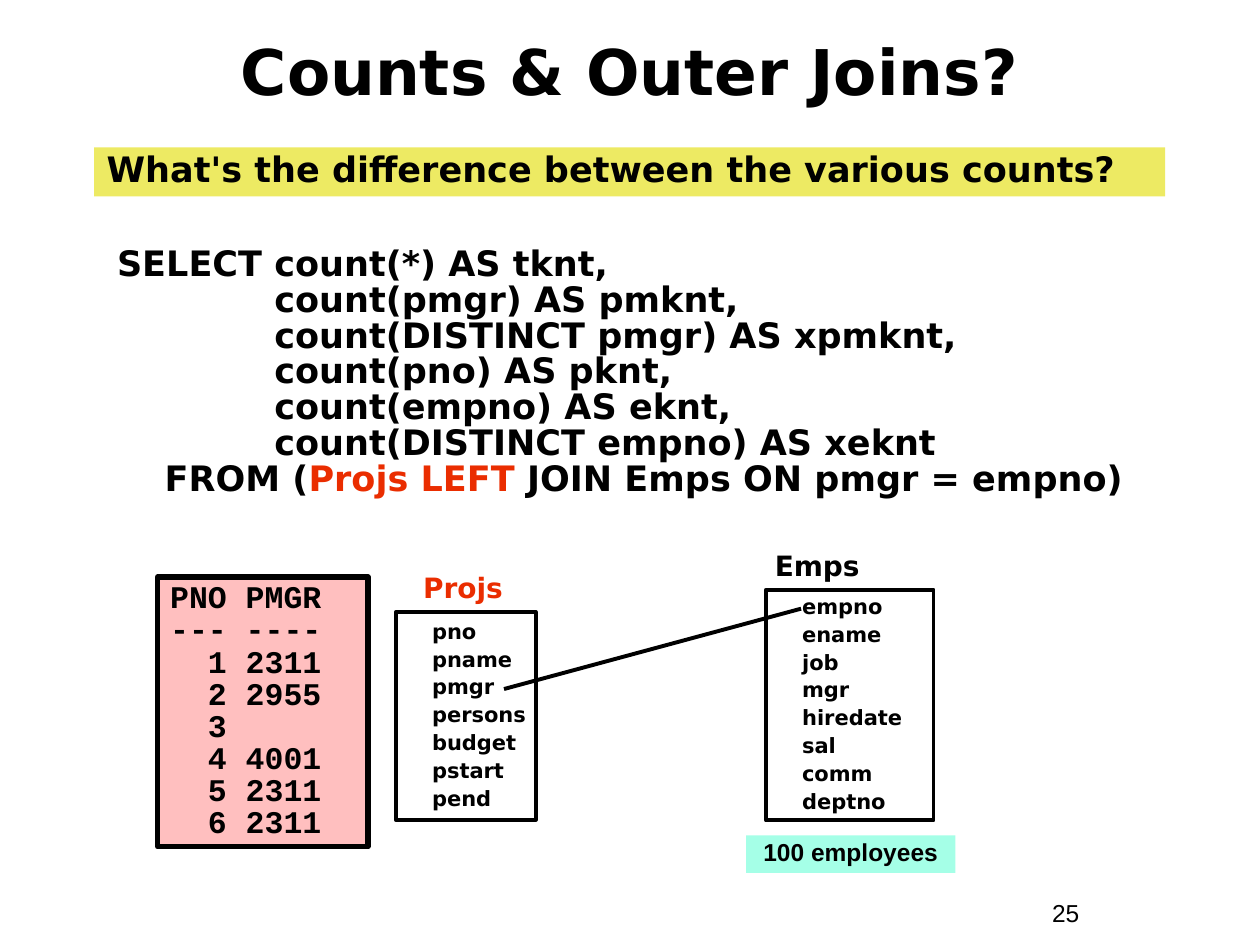
"""Build a slide about counts over an outer join of two tables."""
import pptx
import pptx.dml.color
import pptx.enum.shapes
import pptx.enum.text
import pptx.oxml.ns
import pptx.util
import lxml.etree

Cm, Pt = pptx.util.Cm, pptx.util.Pt
RGB = pptx.dml.color.RGBColor.from_string
ALIGN = pptx.enum.text.PP_ALIGN
ANCHOR = pptx.enum.text.MSO_ANCHOR
SHAPES = pptx.enum.shapes

COLORS = {"black": "000000", "red": "EA2D00", "yellow": "EDEA63",
          "pink": "FFBFBF", "mint": "A5FFE7"}
SANS, MONO, ARIAL = "DejaVu Sans", "Courier New", "Arial"


def add_run(p, text, color, font):
    r = p.add_run()
    r.text = text
    for name, value in font.items():
        setattr(r.font, name, value)
    r.font.color.rgb = RGB(COLORS[color])


def add_box(at, lines, font, color="black", fill=None, border=None,
            frame=None, para=None, gap=0, indent=None):
    at = [Cm(v) for v in at]
    if fill or border:
        sp = s.shapes.add_shape(SHAPES.MSO_SHAPE.RECTANGLE, *at)
        sp.shadow.inherit = False
        sp.fill.background()
        sp.line.fill.background()
    else:
        sp = s.shapes.add_textbox(*at)
    if fill:
        sp.fill.solid()
        sp.fill.fore_color.rgb = RGB(COLORS[fill])
    if border:
        sp.line.color.rgb = RGB(COLORS["black"])
        sp.line.width = Pt(border)
    tf = sp.text_frame
    frame_format = {"word_wrap": True, "vertical_anchor": ANCHOR.TOP}
    frame_format.update(frame or {})
    for name, value in frame_format.items():
        setattr(tf, name, value)
    for i, runs in enumerate(lines):
        p = tf.paragraphs[0] if i == 0 else tf.add_paragraph()
        para_format = {"alignment": ALIGN.LEFT, "space_before": Pt(gap if i else 0)}
        para_format.update(para or {})
        for name, value in para_format.items():
            setattr(p, name, value)
        if indent:
            pPr = p._p.get_or_add_pPr()
            pPr.set("marL", str(Cm(indent[0])))
            pPr.set("indent", str(Cm(indent[1])))
        for text, run_color in ([(runs, color)] if isinstance(runs, str) else runs):
            for n, part in enumerate(text.split("\n")):
                if n:
                    p.add_line_break()
                add_run(p, part, run_color, font)


prs = pptx.Presentation()
prs.slide_width, prs.slide_height = Cm(25.4), Cm(19.05)
s = prs.slides.add_slide(prs.slide_layouts[6])

heading = {"name": SANS, "size": Pt(20), "bold": True}
tight = {"line_spacing": 0.85}
hanging = (0.96, -0.96)

add_box((20.96, 17.98, 2.34, 0.86), ["25"], {"name": ARIAL, "size": Pt(14)})
add_box((0.84, 0.25, 23.7, 2.34), ["Counts & Outer Joins?"],
        {"name": SANS, "size": Pt(36), "bold": True},
        frame={"vertical_anchor": ANCHOR.MIDDLE}, para={"alignment": ALIGN.CENTER})
add_box((1.9, 2.97, 21.59, 0.99),
        ["What's the difference between the various counts?"],
        heading, fill="yellow", para=tight, indent=hanging)

query = """SELECT count(*) AS tknt,
         count(pmgr) AS pmknt,
         count(DISTINCT pmgr) AS xpmknt,
         count(pno) AS pknt,
         count(empno) AS eknt,
         count(DISTINCT empno) AS xeknt
FROM ("""
add_box((2.11, 4.88, 21.39, 5.31),
        [[(query, "black"), ("Projs LEFT", "red"),
          (" JOIN Emps ON pmgr = empno)", "black")]],
        heading, para=tight, indent=hanging)

listing = """PNO PMGR
--- ----
  1 2311
  2 2955
  3
  4 4001
  5 2311
  6 2311"""
add_box((3.18, 11.63, 4.24, 5.44), listing.split("\n"),
        {"name": MONO, "size": Pt(18), "bold": True},
        fill="pink", border=3, para=tight)

tables = [
    ("Emps", "black", (15.37, 11), (15.44, 11.89, 3.38, 4.65),
     "empno ename job mgr hiredate sal comm deptno"),
    ("Projs", "red", (8.28, 11.46), (7.98, 12.34, 2.82, 4.19),
     "pno pname pmgr persons budget pstart pend"),
]
for name, color, corner, at, columns in tables:
    add_box((*corner, 3.45, 0.86), [name],
            {"name": SANS, "size": Pt(16), "bold": True},
            color=color, para={"line_spacing": 0.9})
    add_box(at, columns.split(), {"name": SANS, "size": Pt(12), "bold": True},
            border=2.25, para={"line_spacing": 0.9}, gap=3, indent=(0.48, 0),
            frame={"vertical_anchor": ANCHOR.MIDDLE, "margin_right": 0})

join = s.shapes.add_connector(SHAPES.MSO_CONNECTOR.STRAIGHT,
                              Cm(16.15), Cm(12.27), Cm(10.16), Cm(13.89))
join.line.color.rgb = RGB(COLORS["black"])
join.line.width = Pt(2.25)
lxml.etree.SubElement(join._element.spPr, pptx.oxml.ns.qn("a:effectLst"))

add_box((15.04, 16.84, 4.22, 0.76), ["100 employees"],
        {"name": ARIAL, "size": Pt(14), "bold": True},
        fill="mint", para={"alignment": ALIGN.CENTER, **tight})

prs.save("out.pptx")
